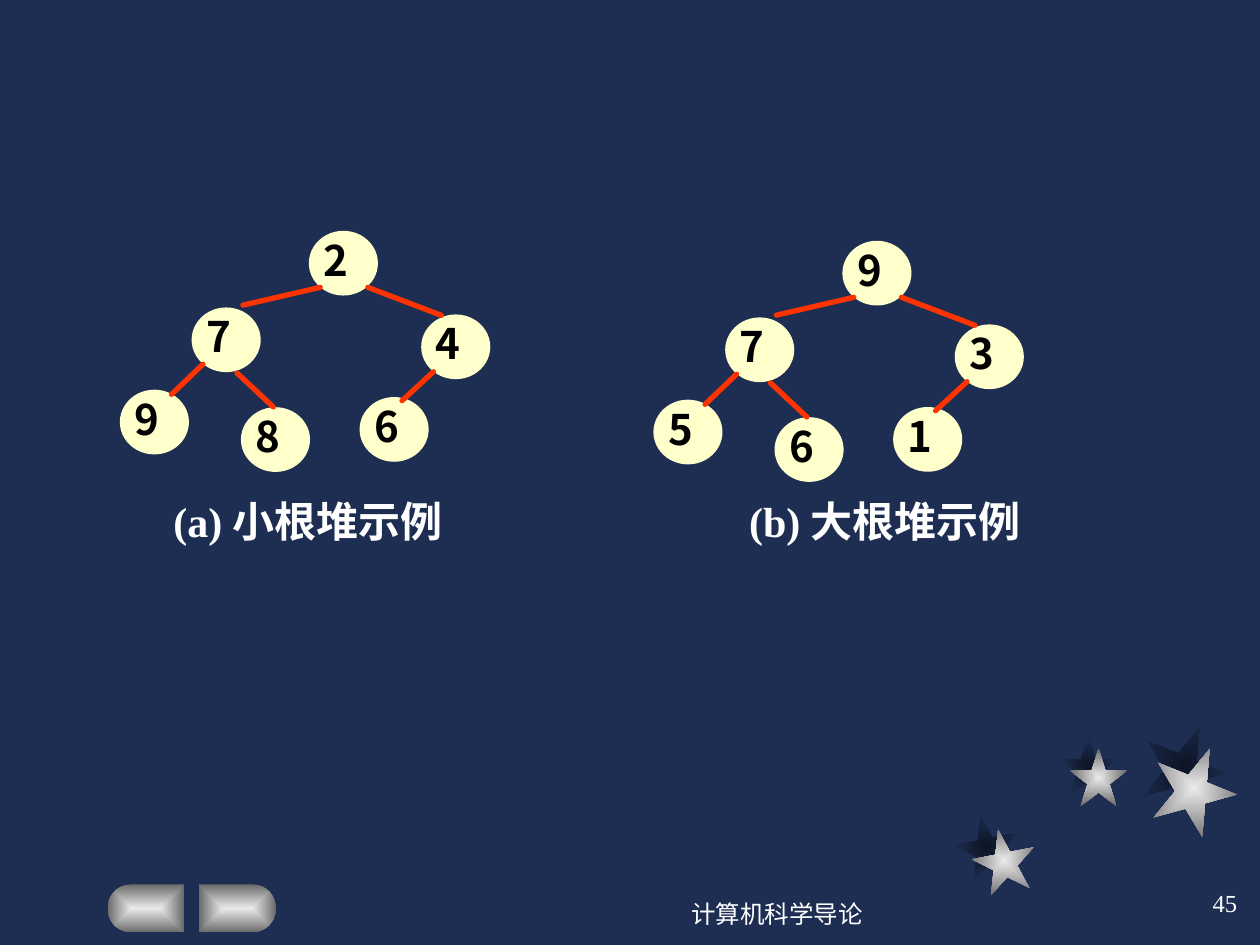
import math
from lxml import etree
from pptx import Presentation
from pptx import util as u
from pptx.dml import color
from pptx.enum import shapes, text
from pptx.oxml import ns, parse_xml

Pt = u.Pt
COLOURS = {"background": "1E2E53", "dark": "0D1526", "silver": "EAEAEA", "grey": "6B6B6B",
           "node": "FFFFCC", "edge": "FF3300", "digit": "000000", "text": "FFFFFF"}
RGB = {name: color.RGBColor.from_string(value) for name, value in COLOURS.items()}

presentation = Presentation()
presentation.slide_width, presentation.slide_height = Pt(720), Pt(540)
slide = presentation.slides.add_slide(presentation.slide_layouts[6])
slide.background.fill.solid()
slide.background.fill.fore_color.rgb = RGB["background"]


def glow(shape, inner, outer):
    """Fill with a gradient that runs from the centre to the edges, without outline."""
    shape.shadow.inherit = False
    shape.line.fill.background()
    shape.fill.gradient()
    for stop, name, position in zip(shape.fill.gradient_stops, (inner, outer), (0, 1)):
        stop.color.rgb = RGB[name]
        stop.position = position
    linear = shape._element.spPr.find(".//" + ns.qn("a:lin"))
    linear.getparent().replace(linear, parse_xml(
        f'<a:path {ns.nsdecls("a")} path="rect">'
        '<a:fillToRect l="50000" t="50000" r="50000" b="50000"/></a:path>'))


def add_text(parent, box, words, frame_format, font_format, align=None, tab=None):
    """Add a one-paragraph text box; a tab stop is optional."""
    frame = parent.add_textbox(*map(Pt, box)).text_frame
    for name, value in {"word_wrap": True, **frame_format}.items():
        setattr(frame, name, value)
    paragraph = frame.paragraphs[0]
    if align is not None:
        paragraph.alignment = align
    if tab:
        stops = etree.SubElement(paragraph._p.get_or_add_pPr(), ns.qn("a:tabLst"))
        etree.SubElement(stops, ns.qn("a:tab"), pos=str(Pt(tab)), algn="l")
    run = paragraph.add_run()
    run.text = words
    colour = font_format["colour"]
    for name, value in font_format.items():
        if name != "colour":
            setattr(run.font, name, value)
    run.font.color.rgb = RGB[colour]
    etree.SubElement(run._r.get_or_add_rPr(), ns.qn("a:ea"), typeface="Noto Sans CJK SC")


# Stars: shadows behind, silver stars in front (left, top, size, rotation)
star_group = slide.shapes.add_group_shape()
star_layers = [
    ("dark", "background", [(545.8, 465.8, 36, 349), (605.5, 421.2, 33, 0), (652.3, 414, 48.2, 22)]),
    ("silver", "grey", [(555.8, 473.8, 36, 349), (611.3, 427.7, 33, 0), (658.1, 426.2, 48.2, 22)]),
]
for inner, outer, stars in star_layers:
    for left, top, size, rotation in stars:
        star = star_group.shapes.add_shape(
            shapes.MSO_SHAPE.STAR_5_POINT, Pt(left), Pt(top), Pt(size), Pt(size))
        star.rotation = rotation
        glow(star, inner, outer)

# Navigation buttons: straight inner edge, half-round outer end
RADIUS, MIDDLE = 13.7, 519.1
for edge, centre, side in [(105.1, 75.2, -1), (113.8, 144, 1)]:
    outline = slide.shapes.build_freeform(Pt(edge), Pt(MIDDLE - RADIUS))
    angles = [math.radians(degrees) for degrees in range(-90, 91, 9)]
    points = [(centre + side * RADIUS * math.cos(a), MIDDLE + RADIUS * math.sin(a)) for a in angles]
    points.append((edge, MIDDLE + RADIUS))
    outline.add_line_segments([(Pt(x), Pt(y)) for x, y in points], close=True)
    glow(outline.convert_to_shape(), "silver", "grey")

# Heaps: the same tree twice, moved by (dx, dy)
NODES = [(177, 132.4), (138.2, 233.2), (206, 227.4), (69, 223.2), (241.2, 180.2), (110, 176.2)]
EDGES = [(183, 164.2, 138.8, 174.4), (135.4, 213.1, 156.2, 232.6), (210.2, 164.2, 252.2, 180.2),
         (247.7, 212.4, 229.7, 229), (116, 208.1, 98, 225.4)]
digit_frame = {"margin_left": Pt(10.8), "auto_size": text.MSO_AUTO_SIZE.SHAPE_TO_FIT_TEXT}
digit_font = {"name": "Noto Sans CJK SC", "size": Pt(24), "bold": True, "colour": "digit"}
for keys, dx, dy in [("286947", 0, 0), ("961537", 304.9, 5.7)]:
    tree = slide.shapes.add_group_shape().shapes
    for key, (x, y) in zip(keys, NODES):
        left, top = x + dx, y + dy
        node = tree.add_shape(shapes.MSO_SHAPE.OVAL, Pt(left), Pt(top), Pt(38.5), Pt(36))
        node.shadow.inherit = False
        node.fill.solid()
        node.fill.fore_color.rgb = node.line.color.rgb = RGB["node"]
        node.line.width = Pt(1)
        add_text(tree, (left - 2.9, top - 2.1, 54.4, 36), key, digit_frame, digit_font)
    for x1, y1, x2, y2 in EDGES:
        edge = tree.add_connector(shapes.MSO_CONNECTOR.STRAIGHT,
                                  Pt(x1 + dx), Pt(y1 + dy), Pt(x2 + dx), Pt(y2 + dy))
        edge.line.color.rgb = RGB["edge"]
        edge.line.width = Pt(3)
        properties = edge._element.spPr
        properties.get_or_add_ln().set("cap", "rnd")
        etree.SubElement(properties, ns.qn("a:effectLst"))

# Captions under the two heaps
caption_font = {"name": "Times New Roman", "size": Pt(24), "bold": True, "colour": "text"}
add_text(slide.shapes, (92, 279.4, 509.8, 36), "(a) 小根堆示例\t(b) 大根堆示例",
         {"auto_size": text.MSO_AUTO_SIZE.SHAPE_TO_FIT_TEXT}, caption_font, tab=329)

# Footer and slide number
footer_font = {"name": "Times New Roman", "size": Pt(14), "colour": "text"}
for box, words, align in [((330, 504, 228, 36), "计算机科学导论", text.PP_ALIGN.CENTER),
                          ((564, 498, 150, 36), "45", text.PP_ALIGN.RIGHT)]:
    add_text(slide.shapes, box, words, {"vertical_anchor": text.MSO_ANCHOR.MIDDLE},
             footer_font, align)

presentation.save("out.pptx")
